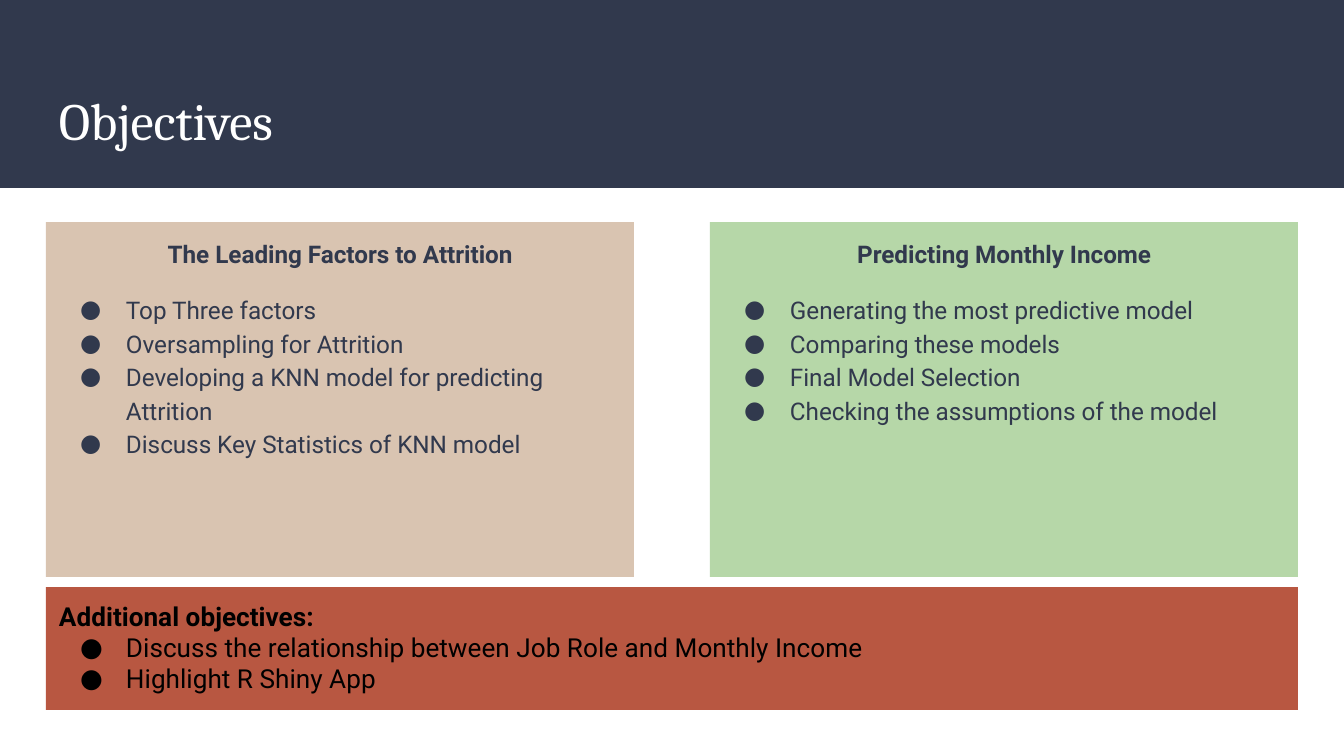
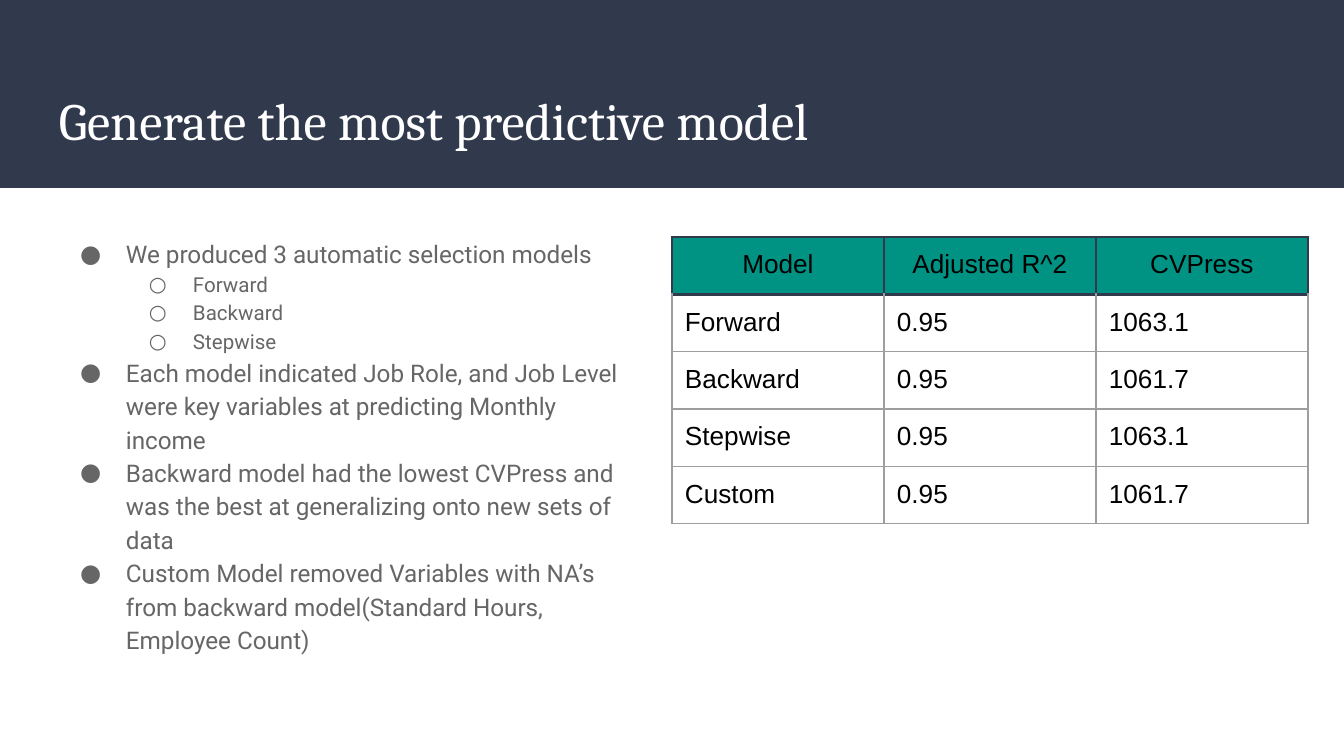
from lxml.etree import SubElement
from pptx import Presentation
from pptx.dml.color import RGBColor
from pptx.enum.shapes import MSO_SHAPE
from pptx.enum.text import MSO_ANCHOR, PP_ALIGN
from pptx.oxml.ns import qn
from pptx.util import Pt

EMU_PER_PX = 914400 / 134.4
SLIDE_WIDTH, SLIDE_HEIGHT = 1344, 756
MARGIN = 46
CONTENT_WIDTH = SLIDE_WIDTH - 2 * MARGIN
COLUMN_WIDTH = 588
BODY_TOP = 222
INSET = 13

NAVY, WHITE, BLACK = "31394D", "FFFFFF", "000000"
SAND, GREEN, RUST, TEAL = "D9C4B1", "B6D7A8", "B85741", "009384"
TEXT_GREY, GRID_GREY = "666666", "9E9E9E"
TITLE_FONT, BODY_FONT, TABLE_FONT = "Cambria", "Roboto", "Arial"

FACTORS = [
    "Top Three factors",
    "Oversampling for Attrition",
    "Developing a KNN model for predicting Attrition",
    "Discuss Key Statistics of KNN model",
]
INCOME = [
    "Generating the most predictive model",
    "Comparing these models",
    "Final Model Selection",
    "Checking the assumptions of the model",
]
ADDITIONAL = [
    "Discuss the relationship between Job Role and Monthly Income",
    "Highlight R Shiny App",
]
FINDINGS = [
    ("We produced 3 automatic selection models", ["Forward", "Backward", "Stepwise"]),
    ("Each model indicated Job Role, and Job Level were key variables "
     "at predicting Monthly income", []),
    ("Backward model had the lowest CVPress and was the best at "
     "generalizing onto new sets of data", []),
    ("Custom Model removed Variables with NA’s from backward "
     "model(Standard Hours, Employee Count)", []),
]
MODEL_SCORES = [
    ("Model", "Adjusted R^2", "CVPress"),
    ("Forward", "0.95", "1063.1"),
    ("Backward", "0.95", "1061.7"),
    ("Stepwise", "0.95", "1063.1"),
    ("Custom", "0.95", "1061.7"),
]


def px(length):
    return round(length * EMU_PER_PX)


def color(hex_code):
    return RGBColor.from_string(hex_code)


def set_insets(area):
    area.margin_left = area.margin_right = px(INSET)
    area.margin_top = area.margin_bottom = px(INSET)


def add_panel(slide, left, top, width, height, fill):
    panel = slide.shapes.add_shape(
        MSO_SHAPE.RECTANGLE, px(left), px(top), px(width), px(height))
    panel.shadow.inherit = False
    panel.fill.solid()
    panel.fill.fore_color.rgb = color(fill)
    panel.line.fill.background()
    return prepare_frame(panel.text_frame)


def add_text_area(slide, left, top, width, height):
    area = slide.shapes.add_textbox(px(left), px(top), px(width), px(height))
    return prepare_frame(area.text_frame)


def prepare_frame(frame):
    frame.word_wrap = True
    frame.vertical_anchor = MSO_ANCHOR.TOP
    set_insets(frame)
    return frame


def format_text(paragraph, size, font, ink, bold=False, align=PP_ALIGN.LEFT):
    paragraph.alignment = align
    for run in paragraph.runs:
        run.font.size = Pt(size)
        run.font.name = font
        run.font.color.rgb = color(ink)
        run.font.bold = bold


def add_line(frame, text, size, ink, spacing, **style):
    paragraph = frame.paragraphs[0]
    if paragraph.text:
        paragraph = frame.add_paragraph()
    paragraph.text = text
    paragraph.line_spacing = spacing
    format_text(paragraph, size, BODY_FONT, ink, **style)
    return paragraph


def add_bullet(frame, text, size, ink, spacing, level=0, space_before=0):
    paragraph = add_line(frame, text, size, ink, spacing)
    paragraph.level = level
    paragraph.space_before = Pt(space_before)
    properties = paragraph._p.get_or_add_pPr()
    properties.set("marL", str(px(67 * (level + 1))))
    properties.set("indent", str(-px(44 if level else 46)))
    bullet_color = SubElement(properties, qn("a:buClr"))
    SubElement(bullet_color, qn("a:srgbClr"), val=ink)
    SubElement(properties, qn("a:buFont"), typeface=BODY_FONT)
    SubElement(properties, qn("a:buChar"), char="○" if level else "●")


def add_titled_slide(deck, title):
    slide = deck.slides.add_slide(deck.slide_layouts[6])
    add_panel(slide, 0, 0, SLIDE_WIDTH, 188, NAVY)
    frame = add_text_area(slide, MARGIN, 74, CONTENT_WIDTH, 91)
    frame.vertical_anchor = MSO_ANCHOR.MIDDLE
    frame.text = title
    format_text(frame.paragraphs[0], 28, TITLE_FONT, WHITE)
    return slide


def add_objective_card(slide, left, fill, heading, points):
    frame = add_panel(slide, left, BODY_TOP, COLUMN_WIDTH, 355, fill)
    add_line(frame, heading, 13, NAVY, 1.15, bold=True, align=PP_ALIGN.CENTER)
    for index, point in enumerate(points):
        add_bullet(frame, point, 13, NAVY, 1.15, space_before=0 if index else 12)


def add_additional_objectives(slide):
    frame = add_panel(slide, MARGIN, 587, CONTENT_WIDTH, 123, RUST)
    add_line(frame, "Additional objectives:", 14, BLACK, 1.0, bold=True)
    for point in ADDITIONAL:
        add_bullet(frame, point, 14, BLACK, 1.0)


def add_findings(slide):
    frame = add_text_area(slide, MARGIN, BODY_TOP, COLUMN_WIDTH, 452)
    for finding, models in FINDINGS:
        add_bullet(frame, finding, 13, TEXT_GREY, 1.15)
        for model in models:
            add_bullet(frame, model, 11, TEXT_GREY, 1.15, level=1)


def set_border(cell, side, ink, width):
    properties = cell._tc.get_or_add_tcPr()
    border = SubElement(properties, qn(f"a:ln{side}"), w=str(Pt(width)))
    fill = SubElement(border, qn("a:solidFill"))
    SubElement(fill, qn("a:srgbClr"), val=ink)


def add_score_table(slide, left, top, column_width, row_height):
    row_count, column_count = len(MODEL_SCORES), len(MODEL_SCORES[0])
    table = slide.shapes.add_table(
        row_count, column_count, px(left), px(top),
        px(column_width * column_count), px(row_height * row_count)).table
    table.first_row = table.horz_banding = False
    for column in table.columns:
        column.width = px(column_width)
    for row_index, scores in enumerate(MODEL_SCORES):
        table.rows[row_index].height = px(row_height)
        is_header = row_index == 0
        for column_index, score in enumerate(scores):
            cell = table.cell(row_index, column_index)
            cell.text = score
            set_insets(cell)
            align = PP_ALIGN.CENTER if is_header else PP_ALIGN.LEFT
            format_text(cell.text_frame.paragraphs[0], 14, TABLE_FONT, BLACK, align=align)
            for side in "LRTB":
                touches_header = is_header or (row_index == 1 and side == "T")
                ink, width = (NAVY, 1.5) if touches_header else (GRID_GREY, 0.75)
                set_border(cell, side, ink, width)
            if is_header:
                cell.fill.solid()
                cell.fill.fore_color.rgb = color(TEAL)
            else:
                cell.fill.background()


def main():
    deck = Presentation()
    deck.slide_width, deck.slide_height = px(SLIDE_WIDTH), px(SLIDE_HEIGHT)

    objectives = add_titled_slide(deck, "Objectives")
    add_objective_card(objectives, MARGIN, SAND,
                       "The Leading Factors to Attrition", FACTORS)
    add_objective_card(objectives, SLIDE_WIDTH - MARGIN - COLUMN_WIDTH, GREEN,
                       "Predicting Monthly Income", INCOME)
    add_additional_objectives(objectives)

    selection = add_titled_slide(deck, "Generate the most predictive model")
    add_findings(selection)
    add_score_table(selection, 672, 237, 212, 56)

    deck.save("out.pptx")


if __name__ == "__main__":
    main()
